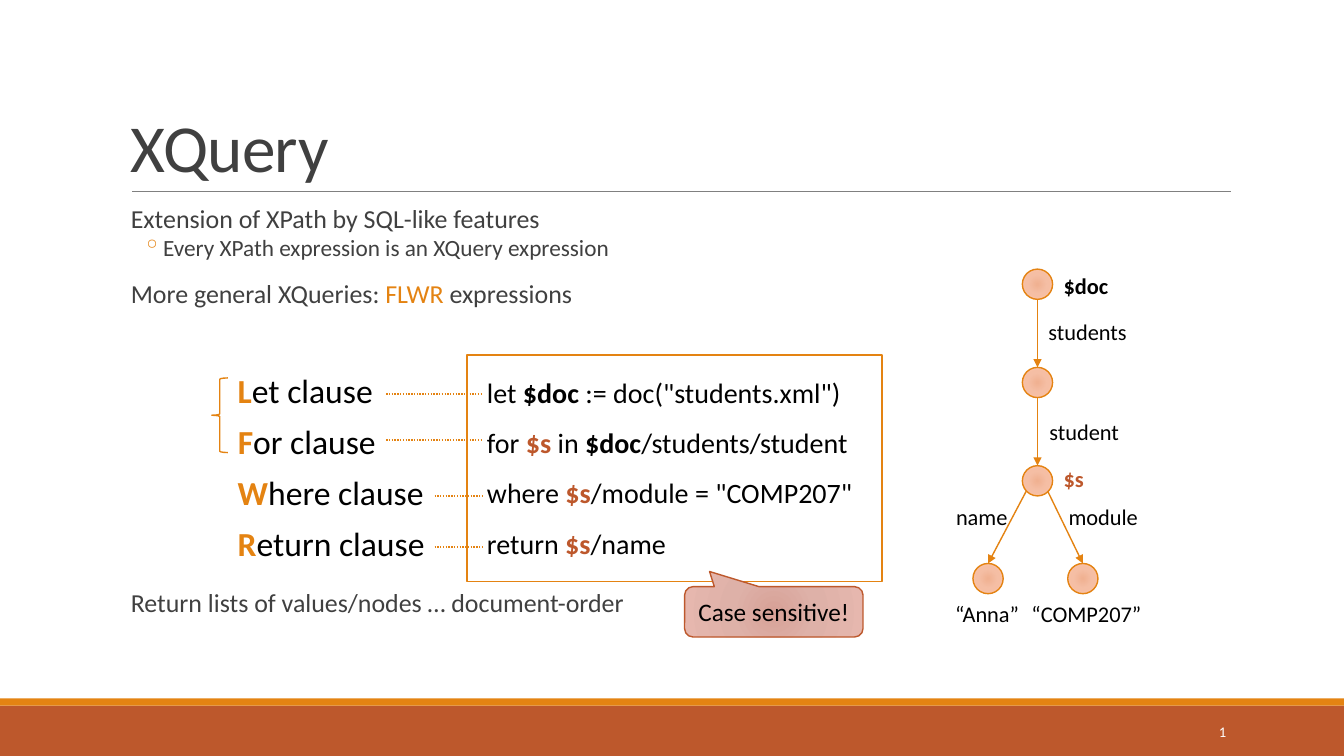
from lxml import etree
from pptx import Presentation
from pptx.dml.color import RGBColor
from pptx.enum import dml, shapes, text
from pptx.oxml import parse_xml
from pptx.oxml.ns import nsdecls, qn
from pptx.util import Inches, Pt

ORANGE = RGBColor(0xE4, 0x83, 0x12)
RUST = RGBColor(0xBD, 0x58, 0x2C)
GREY = RGBColor(0x40, 0x40, 0x40)
RULE_GREY = RGBColor(0x80, 0x80, 0x80)
BLACK = RGBColor(0, 0, 0)
WHITE = RGBColor(0xFF, 0xFF, 0xFF)
NODE_GLOW = [(0, RGBColor(0xF0, 0xB1, 0x91)), (45, RGBColor(0xF5, 0xBE, 0xA4)),
             (100, RGBColor(0xFD, 0xC3, 0xA8))]
CALLOUT_GLOW = [(0, RGBColor(0xD7, 0xA1, 0x97)), (45, RGBColor(0xDE, 0xB1, 0xA8)),
                (100, RGBColor(0xE6, 0xB7, 0xAE))]
LEFT, CENTER, RIGHT = text.PP_ALIGN.LEFT, text.PP_ALIGN.CENTER, text.PP_ALIGN.RIGHT
TOP, MIDDLE, BOTTOM = text.MSO_ANCHOR.TOP, text.MSO_ANCHOR.MIDDLE, text.MSO_ANCHOR.BOTTOM
DOC = ("$doc", {"bold": True})
S = ("$s", {"bold": True, "color": RUST})


def style_font(font, color=BLACK, **values):
    """Apply a colour and any other font values."""
    font.color.rgb = color
    for key, value in {"name": "Calibri", **values}.items():
        setattr(font, key, value)


def write_line(paragraph, parts, base, **layout):
    """Write plain strings or (string, format) pairs into one paragraph."""
    for key, value in layout.items():
        setattr(paragraph, key, value)
    for part in parts:
        words, extra = (part, {}) if isinstance(part, str) else part
        run = paragraph.add_run()
        run.text = words
        style_font(run.font, **{**base, **extra})


def set_frame(shape, wrap=True, anchor=TOP, inset=(0.1, 0.05)):
    """Set wrapping, anchor and insets, and return the text frame."""
    frame = shape.text_frame
    across, down = (Inches(value) for value in inset)
    values = {"word_wrap": wrap, "vertical_anchor": anchor, "margin_left": across,
              "margin_right": across, "margin_top": down, "margin_bottom": down}
    for key, value in values.items():
        setattr(frame, key, value)
    return frame


def add_text(slide, box, parts, size, color=BLACK, wrap=False, anchor=TOP, **layout):
    """Place a one-paragraph text box and return its paragraph."""
    label = slide.shapes.add_textbox(*map(Inches, box))
    paragraph = set_frame(label, wrap, anchor).paragraphs[0]
    write_line(paragraph, parts, {"size": Pt(size), "color": color}, **layout)
    return paragraph


def add_form(slide, preset, box, fill=None, line=None, width=1):
    """Place a preset shape with a solid or radial fill."""
    form = slide.shapes.add_shape(preset, *map(Inches, box))
    form.shadow.inherit = False
    if isinstance(fill, list):
        stops = "".join(f'<a:gs pos="{pos * 1000}"><a:srgbClr val="{color}"/></a:gs>'
                        for pos, color in fill)
        form.fill.background()
        no_fill = form._element.spPr.find(qn("a:noFill"))
        no_fill.getparent().replace(no_fill, parse_xml(
            f'<a:gradFill {nsdecls("a")} rotWithShape="1"><a:gsLst>{stops}</a:gsLst>'
            '<a:path path="circle"><a:fillToRect l="100000" t="100000" r="100000" b="100000"/>'
            '</a:path></a:gradFill>'))
    elif fill is not None:
        form.fill.solid()
        form.fill.fore_color.rgb = fill
    else:
        form.fill.background()
    if line is None:
        form.line.fill.background()
    else:
        form.line.color.rgb = line
        form.line.width = Pt(width)
    return form


def add_line(slide, start, end, color=ORANGE, width=1, dash=None, arrow=False):
    """Draw a straight line, optionally dotted or with an arrowhead."""
    line = slide.shapes.add_connector(shapes.MSO_CONNECTOR.STRAIGHT,
                                      *map(Inches, (*start, *end)))
    line.line.color.rgb = color
    line.line.width = Pt(width)
    if dash:
        line.line.dash_style = dash
    if arrow:
        etree.SubElement(line.line._get_or_add_ln(), qn("a:tailEnd"), type="triangle")
    etree.SubElement(line._element.spPr, qn("a:effectLst"))
    return line


def add_header(slide, left, top, width, height):
    """Place the title above its rule."""
    title = add_text(slide, (left, top, width, height), ["XQuery"], 48, GREY,
                     wrap=True, anchor=BOTTOM, line_spacing=0.85)
    title.runs[0]._r.get_or_add_rPr().set("spc", "-50")
    rule_y = top + height
    add_line(slide, (left + 0.11, rule_y), (left + width + 0.01, rule_y), RULE_GREY, 0.5)


def add_footer(slide, left, top, width, height):
    """Place the two footer bands and the slide number."""
    stripe = 0.07
    rect = shapes.MSO_SHAPE.RECTANGLE
    add_form(slide, rect, (left, top + stripe, width, height - stripe), RUST)
    add_form(slide, rect, (left, top, width, stripe), ORANGE)
    number = add_text(slide, (left + 10.83, top + 0.13, 1.43, 0.4), ["3"], 10.5, WHITE,
                      wrap=True, anchor=MIDDLE, alignment=RIGHT)
    run = number.runs[0]._r
    field = parse_xml(f'<a:fld {nsdecls("a")} type="slidenum" '
                      'id="{B6F15528-21DE-4FAA-801E-634DDDAF4B2B}"/>')
    run.getparent().replace(run, field)
    field.extend(list(run))


def add_body(slide, left, top, width):
    """Place the statements above and below the clauses."""
    base = {"size": Pt(18.5), "color": GREY}
    intro = slide.shapes.add_textbox(*map(Inches, (left, top, width, 1.15)))
    frame = set_frame(intro)
    extension, detail, general = (frame.paragraphs[0], frame.add_paragraph(),
                                  frame.add_paragraph())
    write_line(extension, ["Extension of XPath by SQL-like features"], base,
               line_spacing=0.8, space_after=Pt(2))
    detail_format = detail._p.get_or_add_pPr()
    detail_format.set("marL", str(Inches(0.32)))
    detail_format.set("indent", str(Inches(-0.2)))
    bullet_color = etree.SubElement(detail_format, qn("a:buClr"))
    etree.SubElement(bullet_color, qn("a:srgbClr"), val=str(ORANGE))
    etree.SubElement(detail_format, qn("a:buChar"), char="◦")
    write_line(detail, ["Every XPath expression is an XQuery expression"],
               {**base, "size": Pt(16.6)},
               line_spacing=0.8, space_before=Pt(2), space_after=Pt(4))
    write_line(general, ["More general XQueries: ", ("FLWR", {"color": ORANGE}),
                         " expressions"], base, line_spacing=0.8, space_before=Pt(12))
    add_text(slide, (left, top + 3.81, 5.5, 0.36),
             ["Return lists of values/nodes … document-order"], 18.5, GREY,
             wrap=True, line_spacing=0.8)


def add_clauses(slide, left, top):
    """Place the query box, the clause names and their dotted leaders."""
    query = add_form(slide, shapes.MSO_SHAPE.RECTANGLE, (left + 2.53, top - 0.1, 4.12, 2.25),
                     WHITE, ORANGE, 1.25)
    frame = set_frame(query, inset=(0.2, 0.2))
    clauses = [
        ("Let clause", 1.56, 0.29, ["let ", DOC, ' := doc("students.xml")']),
        ("For clause", 1.58, 0.24, ["for ", S, " in ", DOC, "/students/student"]),
        ("Where clause", 2.07, 0.29, ["where ", S, '/module = "COMP207"']),
        ("Return clause", 2.07, 0.29, ["return ", S, "/name"]),
    ]
    for index, (name, width, leader_drop, code) in enumerate(clauses):
        row_y = top + index * 0.505
        paragraph = frame.add_paragraph() if index else frame.paragraphs[0]
        write_line(paragraph, code, {"size": Pt(20)}, alignment=LEFT,
                   space_before=Pt(12 if index else 0))
        add_text(slide, (left + 0.16, row_y, width, 0.5),
                 [(name[0], {"bold": True, "color": ORANGE}), name[1:]], 24)
        leader_x = left + (1.73 if index < 2 else 2.21)
        add_line(slide, (leader_x, row_y + leader_drop), (left + 2.68, row_y + leader_drop),
                 dash=dml.MSO_LINE.ROUND_DOT)
    add_form(slide, shapes.MSO_SHAPE.LEFT_BRACE, (left, top + 0.13, 0.16, 0.74), line=ORANGE)


def add_callout(slide, left, top, width, height):
    """Place the callout that points at the query."""
    callout = add_form(slide, shapes.MSO_SHAPE.ROUNDED_RECTANGULAR_CALLOUT,
                       (left, top, width, height), CALLOUT_GLOW, RUST)
    for index, value in enumerate((-0.36, -0.8, 0.17)):
        callout.adjustments[index] = value
    write_line(set_frame(callout, anchor=MIDDLE).paragraphs[0], ["Case sensitive!"],
               {"size": Pt(18)}, alignment=CENTER)


def add_tree(slide, left, top):
    """Place the document tree with its edges and labels."""
    size, step = 0.3, 0.975
    spots = {"doc": (0.77, 0), "students": (0.77, step), "student": (0.77, 2 * step),
             "name": (0.28, 2.92), "module": (1.22, 2.92)}
    nodes = {key: add_form(slide, shapes.MSO_SHAPE.OVAL, (left + x, top + y, size, size),
                           NODE_GLOW, ORANGE)
             for key, (x, y) in spots.items()}
    edges = [("students", 0.92, size), ("student", 0.92, step + size),
             ("name", 0.81, 2.2), ("module", 1.02, 2.2)]
    for child, x, y in edges:
        child_x, child_y = spots[child]
        edge = add_line(slide, (left + x, top + y),
                        (left + child_x + size / 2, top + child_y), arrow=True)
        edge.end_connect(nodes[child], 0)
    labels = [
        (DOC, 1.08, -0.02, 0.65, LEFT), ("students", 0.93, 0.44, 0.99, LEFT),
        ("student", 0.94, 1.43, 0.9, LEFT), (S, 1.08, 1.9, 0.41, LEFT),
        ("name", 0, 2.27, 0.72, RIGHT), ("module", 1.13, 2.27, 0.9, LEFT),
        ("“Anna”", 0, 3.23, 0.84, CENTER), ("“COMP207”", 0.75, 3.23, 1.31, CENTER),
    ]
    for words, x, y, width, alignment in labels:
        add_text(slide, (left + x, top + y, width, 0.37), [words], 16, alignment=alignment)


def main():
    """Build the XQuery slide and save it."""
    deck = Presentation()
    deck.slide_width, deck.slide_height = Inches(13.33), Inches(7.5)
    slide = deck.slides.add_slide(deck.slide_layouts[6])
    add_footer(slide, 0, 6.93, 13.33, 0.57)
    add_header(slide, 1.2, 0.31, 11, 1.59)
    add_body(slide, 1.2, 2.02, 8)
    add_clauses(slide, 2.1, 3.62)
    add_callout(slide, 6.79, 5.82, 1.77, 0.5)
    add_tree(slide, 9.37, 2.67)
    deck.save("out.pptx")


if __name__ == "__main__":
    main()
